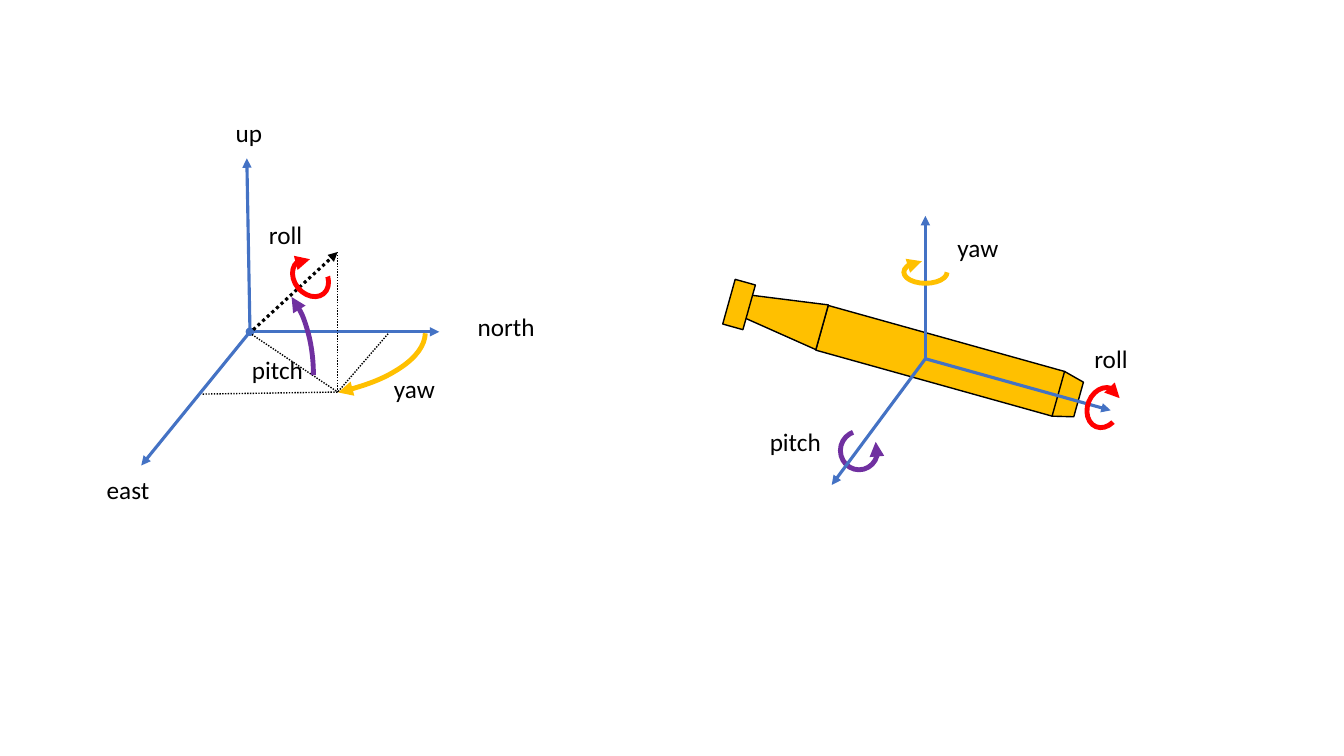
from lxml.etree import SubElement
from pptx import Presentation
from pptx.dml.color import RGBColor
from pptx.enum.dml import MSO_LINE as Dash
from pptx.enum.shapes import MSO_CONNECTOR as Link, MSO_SHAPE as Form
from pptx.oxml.ns import qn
from pptx.util import Cm, Pt

BLUE, GOLD, RED, PLUM, BLACK = "4472C4", "FFC000", "FF0000", "7030A0", "000000"
TILT = 15.6


def paint(part, color):
    """Give a fill or a font a solid colour."""
    part.solid()
    part.fore_color.rgb = RGBColor.from_string(color)


def stroke(item, color, width, end=None):
    """Set the colour, width and arrowhead of an outline."""
    paint(item.line.fill, color)
    item.line.width = Pt(width)
    if end:
        SubElement(item.line._get_or_add_ln(), qn(f"a:{end}"), type="triangle")


def line(slide, box, start, stop, color=BLUE, width=2.25, arrow=True, dash=None):
    """Draw a straight line between two points of a box."""
    ends = [Cm(a + b) for point in (start, stop) for a, b in zip(box, point)]
    item = slide.shapes.add_connector(Link.STRAIGHT, *ends)
    if dash:
        item.line.dash_style = dash
    stroke(item, color, width, "tailEnd" if arrow else None)
    SubElement(item._element.spPr, qn("a:effectLst"))


def shape(parent, box, form, left, top, width, height, turn=0):
    """Add a preset shape at a place within a box."""
    x, y = box
    item = parent.shapes.add_shape(form, Cm(x + left), Cm(y + top), Cm(width), Cm(height))
    item.rotation = turn
    item.shadow.inherit = False
    return item


def solid(parent, box, form, place, fill, edge, turn=0):
    """Add a filled shape with a thin outline."""
    item = shape(parent, box, form, *place, turn)
    paint(item.fill, fill)
    stroke(item, edge, 1)


def arc(slide, box, place, sweep, color, turn=0, flip=False, end="tailEnd"):
    """Draw a curved arrow."""
    item = shape(slide, box, Form.ARC, *place, turn)
    item.adjustments[0], item.adjustments[1] = sweep
    item.fill.background()
    stroke(item, color, 3.5, end)
    if flip:
        item._element.spPr.find(qn("a:xfrm")).set("flipH", "1")


def roll(slide, box, left, top, turn):
    """Draw the red roll arrow."""
    arc(slide, box, (left, top, 0.81, 1.04), (139.523, 86.696), RED, turn, True, "headEnd")


def label(slide, box, text, left, top, width):
    """Write one word within a box."""
    x, y = box
    item = slide.shapes.add_textbox(Cm(x + left), Cm(y + top), Cm(width), Cm(1.02))
    frame = item.text_frame
    frame.word_wrap = False
    frame.text = text
    font = frame.paragraphs[0].runs[0].font
    font.name, font.size = "Calibri", Pt(18)
    paint(font.fill, BLACK)


def world(slide, box):
    """Draw the earth axes with the heading and its three angles."""
    hub, head, foot = (3.86, 5.54), (6.07, 3.53), (6.07, 7.06)
    x, y = hub
    solid(slide, box, Form.OVAL, (x - 0.09, y - 0.09, 0.18, 0.18), BLUE, BLUE)
    for tip in ((1.12, 8.91), (8.63, 5.54), (3.78, 1.17)):
        line(slide, box, hub, tip)
    arc(slide, box, (-1.02, 3.76, 9.3, 3.58), (0.215, 19.045), GOLD)
    line(slide, box, (3.94, 5.49), head, BLACK, dash=Dash.ROUND_DOT)
    for start in ((7.34, 5.59), (2.67, 7.11), head, (3.91, 5.61)):
        line(slide, box, start, foot, BLACK, 1, False, Dash.ROUND_DOT)
    arc(slide, box, (2.84, 4.22, 2.62, 4.8), (107.572, 149.245), PLUM, flip=True)
    roll(slide, box, 4.98, 3.66, 320.7)
    for word in (
        ("north", 9.35, 4.9, 1.96),
        ("east", 0, 9.02, 1.6),
        ("up", 3.25, 0, 1.19),
        ("yaw", 7.24, 6.45, 1.55),
        ("pitch", 3.66, 5.99, 1.8),
        ("roll", 4.09, 2.59, 1.35),
    ):
        label(slide, box, *word)


def craft(slide, box):
    """Draw the tilted vehicle with its own axes and turns."""
    arc(slide, box, (2.82, 5.43, 0.94, 0.97), (172.892, 124.489), PLUM, flip=True)
    hull = slide.shapes.add_group_shape()
    for form, place, turn in (
        (Form.RECTANGLE, (2.24, 3.07, 6.2, 1.17), TILT),
        (Form.TRAPEZOID, (7.98, 4.29, 1.17, 0.53), TILT + 90),
        (Form.TRAPEZOID, (0.82, 1.55, 1.17, 1.98), TILT + 270),
        (Form.RECTANGLE, (0, 1.65, 0.53, 1.17), TILT),
    ):
        solid(hull, box, form, place, GOLD, BLACK, turn)
    for tip in ((9.63, 4.9), (2.6, 6.78), (4.96, 0)):
        line(slide, box, (4.96, 3.6), tip)
    arc(slide, box, (4.42, 1.14, 1.09, 0.56), (0.215, 150.791), GOLD)
    roll(slide, box, 9.05, 4.31, 21.8)
    for word in (
        ("yaw", 5.52, 0.3, 1.55),
        ("roll", 8.97, 3.09, 1.35),
        ("pitch", 0.79, 5.18, 1.8),
    ):
        label(slide, box, *word)


def main():
    """Build and save the slide."""
    deck = Presentation()
    deck.slide_width, deck.slide_height = Cm(33.87), Cm(19.05)
    slide = deck.slides.add_slide(deck.slide_layouts[6])
    world(slide, (2.44, 2.82))
    craft(slide, (18.36, 5.44))
    deck.save("out.pptx")


if __name__ == "__main__":
    main()
